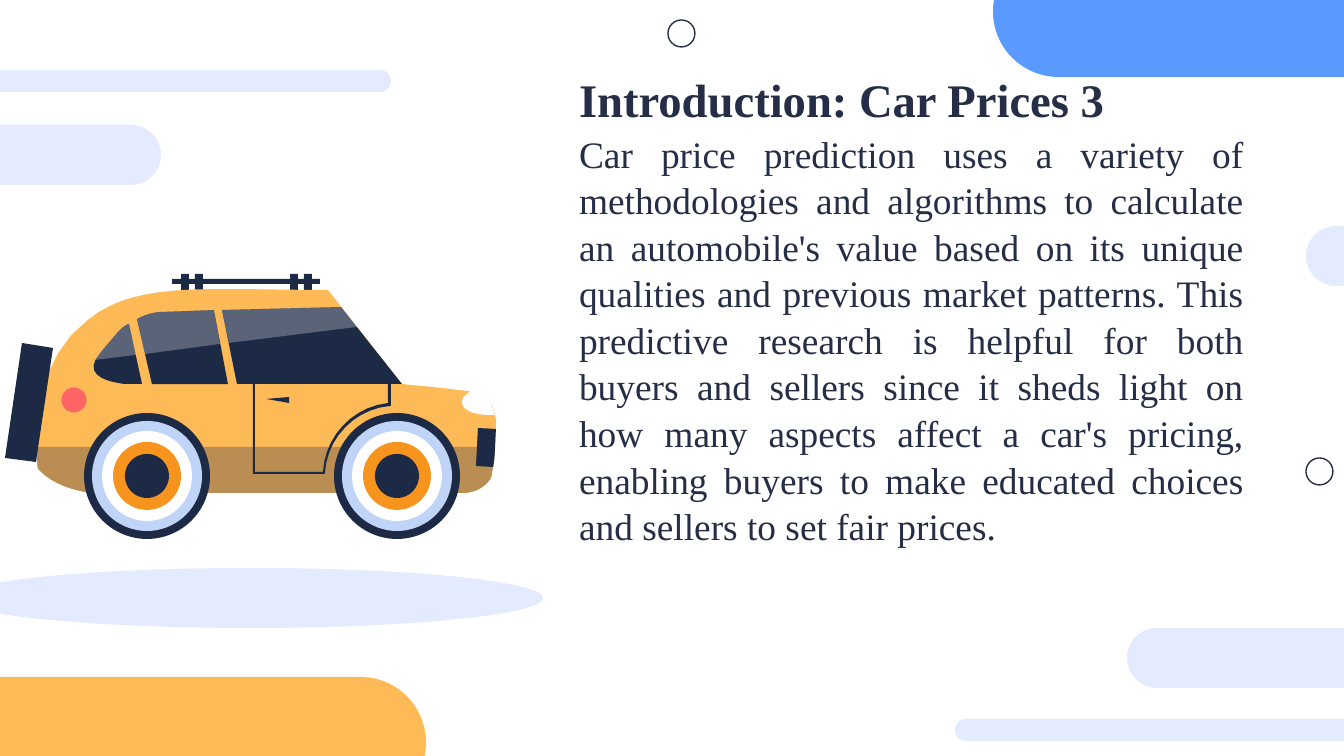
from dataclasses import dataclass

from lxml import etree
from pptx import Presentation
from pptx.dml.color import RGBColor
from pptx.enum.shapes import MSO_SHAPE
from pptx.enum.text import MSO_ANCHOR, MSO_AUTO_SIZE, PP_ALIGN
from pptx.oxml.ns import qn
from pptx.util import Pt

RECT, PILL, OVAL = MSO_SHAPE.RECTANGLE, MSO_SHAPE.ROUNDED_RECTANGLE, MSO_SHAPE.OVAL
TOP, JUSTIFY, NO_FIT = MSO_ANCHOR.TOP, PP_ALIGN.JUSTIFY, MSO_AUTO_SIZE.NONE
SECTION_LAYOUT = 2
EMU_PER_PX = 914400 / 134.4
CURVE_STEPS = 10


@dataclass(frozen=True)
class Theme:
    font: str = "Times New Roman"
    heading_pt: int = 25
    body_pt: int = 20
    text: str = "262E47"
    blue: str = "5A9AFF"
    pale: str = "E4EBFF"
    orange: str = "FFBA58"
    navy: str = "1D2A46"
    white: str = "FFFFFF"
    tyre_band: str = "C0D4F8"
    hub: str = "F7941E"
    red: str = "FF6565"


THEME = Theme()

HEADING = "Introduction: Car Prices 3"
BODY = (
    "Car price prediction uses a variety of methodologies and algorithms to "
    "calculate an automobile's value based on its unique qualities and previous "
    "market patterns. This predictive research is helpful for both buyers and "
    "sellers since it sheds light on how many aspects affect a car's pricing, "
    "enabling buyers to make educated choices and sellers to set fair prices."
)

# Outlines are in px: a pair is a straight segment, six numbers a cubic curve.
LOWER_EDGE = [(492, 476, 491, 477, 491, 478), (487, 485, 478, 492, 465, 493),
              (93, 493), (93, 493, 58, 491, 38, 469)]
CAR_BODY = [(227, 289), (255, 289, 289, 290, 328, 290), (402, 384),
            (419, 386, 438, 387, 457, 390), (478, 391, 485, 398, 488, 399),
            (492, 405, 496, 413, 496, 423), (496, 448, 493, 468, 492, 473),
            *LOWER_EDGE,
            (38, 469, 22, 368, 89, 319), (122, 293, 163, 289, 227, 289)]
SKIRT = [(495, 447), (495, 460, 493, 470, 492, 473), *LOWER_EDGE,
         (38, 469, 36, 460, 36, 447)]
HEADLIGHT = [(472, 391), (482, 394, 487, 398, 488, 399),
             (491, 403, 493, 409, 495, 415), (493, 415, 492, 415, 489, 415),
             (474, 415, 462, 410, 462, 402), (462, 398, 466, 394, 472, 391)]
BUMPER = [(478, 428), (496, 429), (495, 445, 495, 460, 493, 467), (476, 466)]
SPARE_WHEEL = [(22, 343), (53, 348), (36, 462), (5, 458)]
REAR_TOP = [(118, 332), (122, 328, 125, 325, 129, 324)]
MIDDLE_TOP = [(137, 319), (149, 312, 161, 312, 161, 312)]
WINDOWS = [
    [(129, 324), (142, 384), (124, 384), (118, 383, 77, 379, 101, 352), *REAR_TOP],
    [(214, 310), (228, 384), (152, 384), *MIDDLE_TOP],
    [(341, 307), (402, 384), (237, 384), (222, 310)],
]
GLINTS = [
    [(129, 324), (136, 355), (95, 360), (97, 357, 98, 355, 101, 352), *REAR_TOP],
    [(214, 310), (220, 344), (145, 354), *MIDDLE_TOP],
    [(341, 307), (357, 327), (229, 343), (222, 310)],
]
DOOR_SEAM = [(391, 379), (391, 406), (390, 406), (355, 409, 327, 438, 325, 473),
             (325, 474), (253, 474), (253, 379), (255, 379), (255, 472), (323, 472),
             (325, 437, 352, 407, 388, 403), (388, 379)]
HANDLE = [(289, 397), (289, 403), (266, 399)]


def px(value):
    return round(value * EMU_PER_PX)


def paint(sp, color, alpha=None):
    """Give a flat fill without line or shadow; alpha is opacity in percent."""
    sp.shadow.inherit = False
    sp.line.fill.background()
    sp.fill.solid()
    sp.fill.fore_color.rgb = RGBColor.from_string(color)
    if alpha is not None:
        clr = sp._element.spPr.find(qn("a:solidFill"))[0]
        etree.SubElement(clr, qn("a:alpha")).set("val", str(alpha * 1000))


def add_preset(shapes, kind, box, color):
    sp = shapes.add_shape(kind, *map(px, box))
    if kind == PILL:
        sp.adjustments[0] = 0.5
    paint(sp, color)
    return sp


def add_disc(shapes, cx, cy, size, color):
    add_preset(shapes, OVAL, (cx - size / 2, cy - size / 2, size, size), color)


def add_ring(shapes, x, y, size):
    sp = add_preset(shapes, OVAL, (x, y, size, size), THEME.white)
    sp.fill.background()
    sp.line.color.rgb = RGBColor.from_string(THEME.text)
    sp.line.width = Pt(0.75)


def flatten(outline):
    """Turn an outline into EMU points, sampling its curves."""
    points = [outline[0]]
    for segment in outline[1:]:
        if len(segment) == 2:
            points.append(segment)
            continue
        start, (x1, y1, x2, y2, x3, y3) = points[-1], segment
        axes = list(zip(start, (x1, y1), (x2, y2), (x3, y3)))
        for i in range(1, CURVE_STEPS + 1):
            t = i / CURVE_STEPS
            u = 1 - t
            points.append(tuple(
                u**3 * a + 3 * u * u * t * b + 3 * u * t * t * c + t**3 * d
                for a, b, c, d in axes))
    return [(px(x), px(y)) for x, y in points]


def add_outline(shapes, outline, color, alpha=None):
    start, *rest = flatten(outline)
    builder = shapes.build_freeform(*start, scale=1.0)
    builder.add_line_segments(rest, close=True)
    paint(builder.convert_to_shape(), color, alpha)


def add_wheel(shapes, cx, cy):
    discs = ((126, THEME.navy), (110, THEME.tyre_band), (90, THEME.white),
             (68, THEME.hub), (44, THEME.navy))
    for size, color in discs:
        add_disc(shapes, cx, cy, size, color)


def add_car(shapes):
    car = shapes.add_group_shape().shapes
    for x in (181, 195, 290, 304):
        add_preset(car, RECT, (x, 274, 8, 24), THEME.navy)
    add_preset(car, RECT, (172, 279, 148, 5), THEME.navy)
    add_outline(car, CAR_BODY, THEME.orange)
    add_outline(car, SKIRT, THEME.navy, 30)
    add_outline(car, HEADLIGHT, THEME.white)
    add_outline(car, BUMPER, THEME.navy)
    for cx in (397, 147):
        add_wheel(car, cx, 476)
    add_disc(car, 74, 400, 25, THEME.red)
    for outline in (SPARE_WHEEL, *WINDOWS, DOOR_SEAM, HANDLE):
        add_outline(car, outline, THEME.navy)
    for outline in GLINTS:
        add_outline(car, outline, THEME.white, 27)


def add_backdrop(shapes):
    bars = (
        (993, -54, 512, 131, THEME.blue), (-121, 70, 512, 22, THEME.pale),
        (-137, 125, 298, 60, THEME.pale), (1306, 226, 298, 60, THEME.pale),
        (-86, 677, 512, 131, THEME.orange), (1127, 628, 298, 60, THEME.pale),
        (955, 719, 512, 22, THEME.pale),
    )
    for *box, color in bars:
        add_preset(shapes, PILL, box, color)
    for x, y in ((1306, 458), (668, 20)):
        add_ring(shapes, x, y, 27)
    add_preset(shapes, OVAL, (-43, 568, 586, 60), THEME.pale)


def fill_text(body):
    body.left, body.top, body.width, body.height = map(px, (566, 56, 691, 485))
    tf = body.text_frame
    tf.word_wrap, tf.auto_size, tf.vertical_anchor = True, NO_FIT, TOP
    tf.margin_left = tf.margin_right = tf.margin_top = tf.margin_bottom = px(13)
    tf.text = f"{HEADING}\n{BODY}"
    styles = ((THEME.heading_pt, True, 0), (THEME.body_pt, False, 1))
    for p, (size, bold, before) in zip(tf.paragraphs, styles):
        p.alignment, p.line_spacing = JUSTIFY, 1.04
        p.space_before, p.space_after = Pt(before), Pt(0)
        p.font.name, p.font.size, p.font.bold = THEME.font, Pt(size), bold
        p.font.color.rgb = RGBColor.from_string(THEME.text)


def main():
    prs = Presentation()
    prs.slide_width, prs.slide_height = px(1344), px(756)
    s = prs.slides.add_slide(prs.slide_layouts[SECTION_LAYOUT])
    title = s.shapes.title._element
    title.getparent().remove(title)
    add_backdrop(s.shapes)
    fill_text(s.placeholders[1])
    add_car(s.shapes)
    prs.save("out.pptx")


if __name__ == "__main__":
    main()
